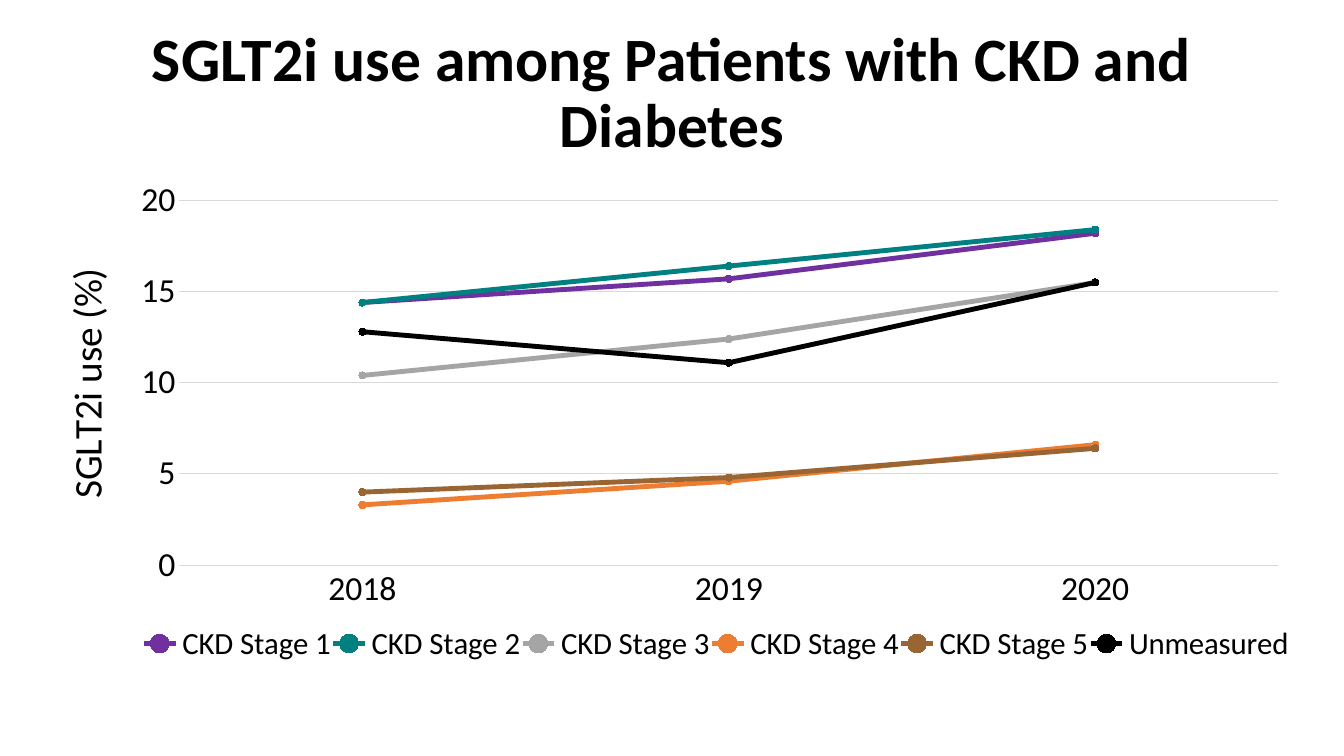
from dataclasses import dataclass

from lxml import etree
from pptx import Presentation
from pptx import util as u
from pptx.chart.data import CategoryChartData
from pptx.dml.color import RGBColor
from pptx.enum import chart as charts, text
from pptx.oxml.ns import qn

WIDTH, HEIGHT = u.Inches(13.33), u.Inches(7.5)
FONT, BLACK, GRID = "Calibri", "000000", "D9D9D9"
YEARS = ("2018", "2019", "2020")


@dataclass
class Stage:
    name: str
    usage: tuple[float, ...]
    color: str


@dataclass
class Area:
    """A rectangle given as shares of its container."""
    left: float
    top: float
    width: float = 0
    height: float = 0

    def on_slide(self) -> tuple[int, ...]:
        return (int(self.left * WIDTH), int(self.top * HEIGHT),
                int(self.width * WIDTH), int(self.height * HEIGHT))


STAGES = (
    Stage("CKD Stage 1", (14.4, 15.7, 18.2), "7030A0"),
    Stage("CKD Stage 2", (14.4, 16.4, 18.4), "008080"),
    Stage("CKD Stage 3", (10.4, 12.4, 15.5), "A5A5A5"),
    Stage("CKD Stage 4", (3.3, 4.6, 6.6), "ED7D31"),
    Stage("CKD Stage 5", (4, 4.8, 6.4), "996633"),
    Stage("Unmeasured", (12.8, 11.1, 15.5), BLACK),
)


def rgb(color: str) -> RGBColor:
    return RGBColor.from_string(color)


def style_font(font, size: float, bold: bool = False) -> None:
    font.name, font.size, font.bold = FONT, u.Pt(size), bold
    font.color.rgb = rgb(BLACK)


def style_line(line, color: str, width: float) -> None:
    line.color.rgb = rgb(color)
    line.width = u.Pt(width)


def place(part, index: int, area: Area, inner: bool = False) -> None:
    """Give a chart part a fixed layout, in shares of the chart."""
    for old in part.findall(qn("c:layout")):
        part.remove(old)
    layout = etree.Element(qn("c:layout"))
    part.insert(index, layout)
    manual = etree.SubElement(layout, qn("c:manualLayout"))
    settings = [("layoutTarget", "inner")] if inner else []
    settings += [("xMode", "edge"), ("yMode", "edge"), ("x", area.left), ("y", area.top)]
    if area.width:
        settings += [("w", area.width), ("h", area.height)]
    for tag, value in settings:
        etree.SubElement(manual, qn(f"c:{tag}")).set("val", str(value))


def add_heading(slide, wording: str, area: Area) -> None:
    frame = slide.shapes.add_textbox(*area.on_slide()).text_frame
    frame.word_wrap = True
    frame.vertical_anchor = text.MSO_ANCHOR.MIDDLE
    frame.text = wording
    heading = frame.paragraphs[0]
    heading.alignment = text.PP_ALIGN.CENTER
    heading.line_spacing = 0.9
    style_font(heading.runs[0].font, 44, bold=True)


def add_usage_chart(slide, area: Area) -> None:
    usage = CategoryChartData(number_format="0.0")
    usage.categories = YEARS
    for stage in STAGES:
        usage.add_series(stage.name, stage.usage)
    chart = slide.shapes.add_chart(
        charts.XL_CHART_TYPE.LINE_MARKERS, *area.on_slide(), usage).chart
    chart.has_title = False
    style_font(chart.font, 10)

    # Lines and markers
    chart.plots[0].vary_by_categories = False
    for stage, series in zip(STAGES, chart.plots[0].series):
        series.smooth = False
        style_line(series.format.line, stage.color, 3.5)
        series.marker.style = charts.XL_MARKER_STYLE.CIRCLE
        series.marker.size = 5
        series.marker.format.fill.solid()
        series.marker.format.fill.fore_color.rgb = rgb(stage.color)
        style_line(series.marker.format.line, stage.color, 0.75)

    # Axes
    years, percent = chart.category_axis, chart.value_axis
    for axis in (years, percent):
        axis.major_tick_mark = axis.minor_tick_mark = charts.XL_TICK_MARK.NONE
        style_font(axis.tick_labels.font, 24)
    style_line(years.format.line, GRID, 0.75)
    percent.format.line.fill.background()
    percent.minimum_scale, percent.maximum_scale, percent.major_unit = 0, 20, 5
    percent.tick_labels.number_format = "0"
    percent.tick_labels.number_format_is_linked = False
    style_line(percent.major_gridlines.format.line, GRID, 0.75)

    # Rotated axis title
    caption = percent.axis_title.text_frame
    caption.text = "SGLT2i use (%)"
    style_font(caption.paragraphs[0].runs[0].font, 28)
    turn = caption._txBody.find(qn("a:bodyPr"))
    turn.set("rot", "-5400000")
    turn.set("vert", "horz")

    # Legend
    chart.has_legend = True
    chart.legend.position = charts.XL_LEGEND_POSITION.BOTTOM
    chart.legend.include_in_layout = False
    style_font(chart.legend.font, 22)

    # Layout inside the chart
    root = chart._chartSpace
    place(root.xpath(".//c:plotArea")[0], 0, Area(0.11, 0.06, 0.87, 0.72), inner=True)
    place(root.xpath(".//c:valAx/c:title")[0], 1, Area(0.01, 0.18))
    place(root.xpath(".//c:legend")[0], 1, Area(0.08, 0.89, 0.91, 0.09))


def main() -> None:
    deck = Presentation()
    deck.slide_width, deck.slide_height = WIDTH, HEIGHT
    slide = deck.slides.add_slide(deck.slide_layouts[6])
    add_heading(slide, "SGLT2i use among Patients with CKD and Diabetes",
                Area(0.07, 0.03, 0.86, 0.19))
    add_usage_chart(slide, Area(0.03, 0.225, 0.94, 0.67))
    deck.save("out.pptx")


if __name__ == "__main__":
    main()
